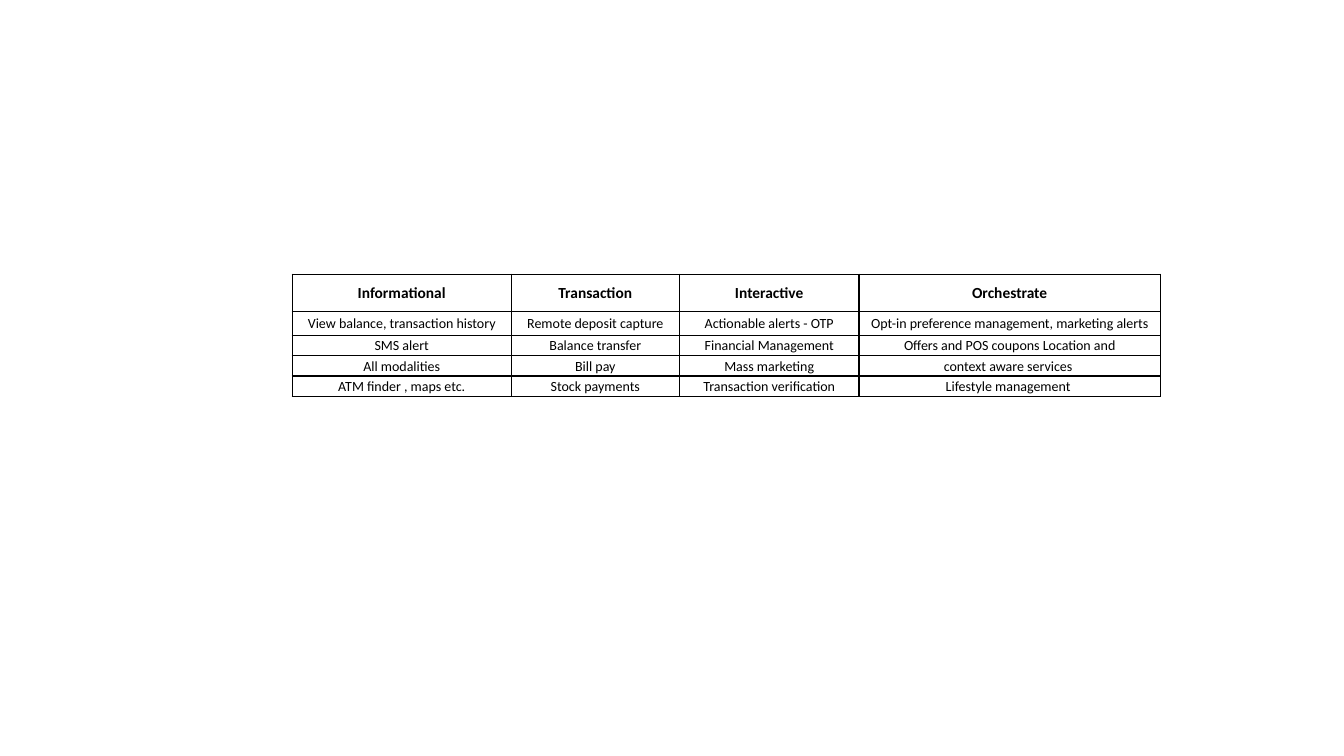
from lxml import etree
from pptx import Presentation
from pptx import util as u
from pptx.dml.color import RGBColor
from pptx.enum import text
from pptx.oxml.ns import qn

COLOURS = {"ink": "000000", "paper": "FFFFFF"}
FONT = "Calibri"


def write(cell, words, size=10, bold=False, colour="ink", align=text.PP_ALIGN.CENTER):
    paragraph = cell.text_frame.paragraphs[0]
    paragraph.alignment = align
    run = paragraph.add_run()
    run.text = words
    run.font.name, run.font.size, run.font.bold = FONT, u.Pt(size), bold
    run.font.color.rgb = RGBColor.from_string(COLOURS[colour])


class Deck:
    """Holds the style and the current slide; lengths are percentages of the slide."""

    def __init__(self, width, height):
        self.prs = Presentation()
        self.prs.slide_width, self.prs.slide_height = u.Inches(width), u.Inches(height)
        self.slide = self.prs.slides.add_slide(self.prs.slide_layouts[6])

    def across(self, share):
        return round(self.prs.slide_width * share / 100)

    def down(self, share):
        return round(self.prs.slide_height * share / 100)

    def border(self, cell, width=1, colour="ink"):
        properties = cell._tc.get_or_add_tcPr()
        for side in ("lnL", "lnR", "lnT", "lnB"):
            line = etree.SubElement(properties, qn(f"a:{side}"), w=str(u.Pt(width)))
            fill = etree.SubElement(line, qn("a:solidFill"))
            etree.SubElement(fill, qn("a:srgbClr"), val=COLOURS[colour])

    def table(self, left, top, widths, heights, rows):
        table = self.slide.shapes.add_table(
            len(rows), len(widths), self.across(left), self.down(top),
            self.across(sum(widths)), self.down(sum(heights))).table
        table.horz_banding = False
        for column, width in zip(table.columns, widths):
            column.width = self.across(width)
        for row, height, entries in zip(table.rows, heights, rows):
            row.height = self.down(height)
            header = entries is rows[0]
            for cell, words in zip(row.cells, entries):
                cell.margin_left = cell.margin_right = cell.margin_top = u.Inches(0.01)
                cell.margin_bottom = 0
                cell.vertical_anchor = text.MSO_ANCHOR.MIDDLE
                self.border(cell)
                cell.fill.solid()
                cell.fill.fore_color.rgb = RGBColor.from_string(COLOURS["paper"])
                write(cell, words, size=11 if header else 10, bold=header)


# Banking services by level of engagement
services = [
    ("Informational", "Transaction", "Interactive", "Orchestrate"),
    ("View balance, transaction history", "Remote deposit capture",
     "Actionable alerts - OTP", "Opt-in preference management, marketing alerts"),
    ("SMS alert", "Balance transfer", "Financial Management",
     "Offers and POS coupons Location and"),
    ("All modalities", "Bill pay", "Mass marketing", "context aware services "),
    ("ATM finder , maps etc.", "Stock payments", "Transaction verification",
     "Lifestyle management "),
]

deck = Deck(13.33, 7.5)
deck.table(left=21.75, top=36.27, widths=[16.28, 12.53, 13.35, 22.43],
           heights=[4.93, 3.2] + [2.67] * 3, rows=services)
deck.prs.save("out.pptx")
